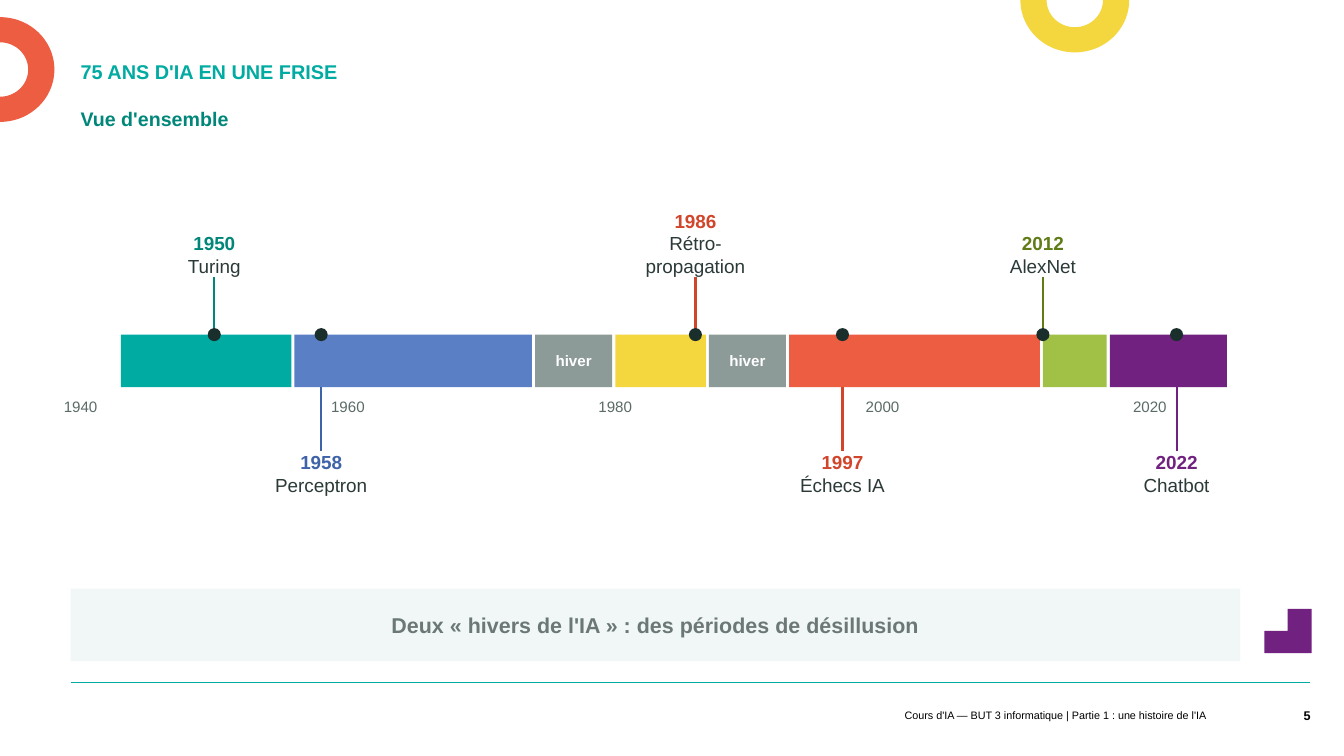
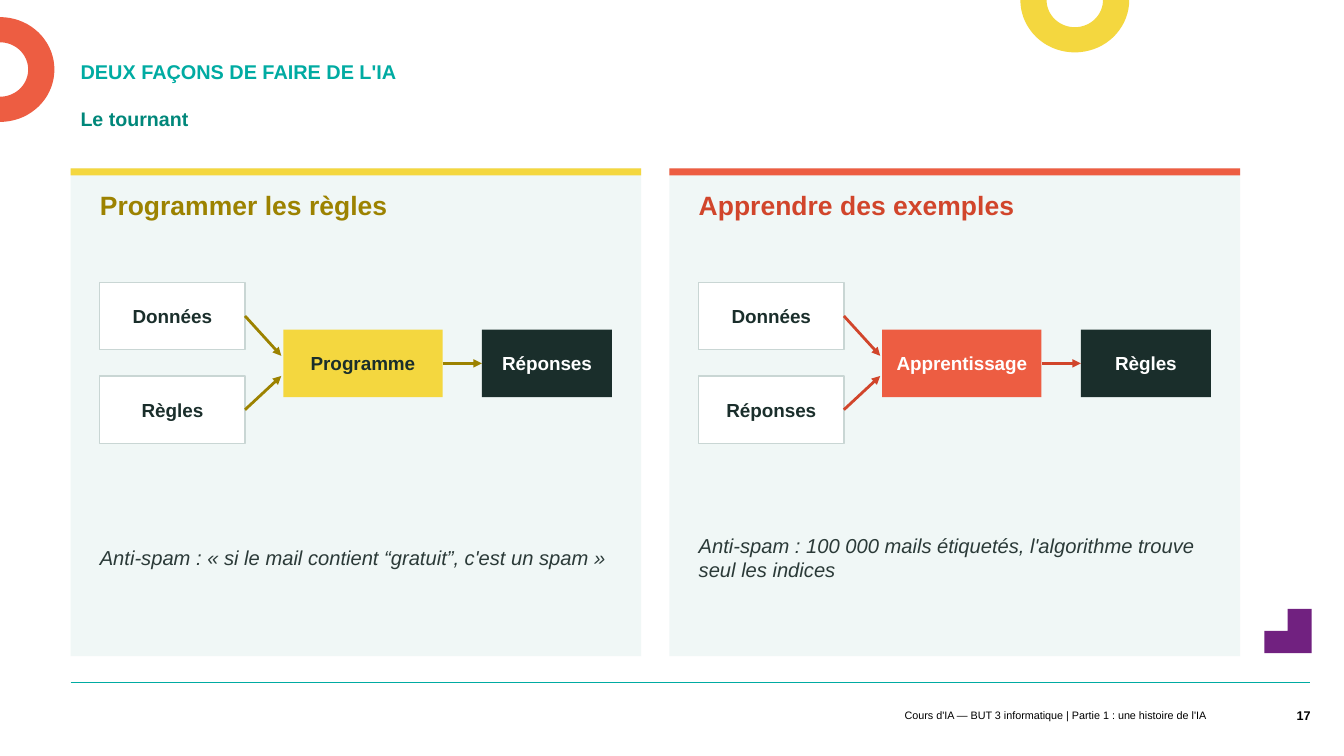
import math

import pptx
import pptx.dml.color
import pptx.enum.shapes
import pptx.enum.text
import pptx.oxml.ns
import pptx.util
from lxml import etree

Inches = pptx.util.Inches
Pt = pptx.util.Pt
RGB = pptx.dml.color.RGBColor.from_string
SHAPE = pptx.enum.shapes.MSO_SHAPE
ALIGN = pptx.enum.text.PP_ALIGN
ANCHOR = pptx.enum.text.MSO_ANCHOR
qn = pptx.oxml.ns.qn

COLORS = {
    "teal": "00ABA2", "dark teal": "00877A", "blue": "5B7FC4", "dark blue": "3F63A8",
    "yellow": "F4D73F", "dark yellow": "9C8200", "red": "ED5D42", "dark red": "D1452B",
    "green": "A0C145", "dark green": "5F7C17", "purple": "712180",
    "winter": "8C9A98", "pale": "F0F7F6", "border": "C9D6D4", "tick": "5A6B68",
    "message": "6B7876", "text": "2B3A38", "ink": "1A2E2B",
    "white": "FFFFFF", "black": "000000",
}


def add_box(page, at, text="", shape=None, kind=SHAPE.RECTANGLE, fill=None, line=None,
            size=13.5, color="ink", bold=False, italic=False, align=ALIGN.CENTER,
            anchor=ANCHOR.MIDDLE, inset=(0, 0), spacing=None):
    """Add a filled shape, or a text box without fill, or format the shape given."""
    left, top, width, height = [Inches(length) for length in at]
    if shape is not None:
        shape.left, shape.top, shape.width, shape.height = left, top, width, height
    elif fill is None:
        shape = page.shapes.add_textbox(left, top, width, height)
    else:
        shape = page.shapes.add_shape(kind, left, top, width, height)
        shape.shadow.inherit = False
        shape.fill.solid()
        shape.fill.fore_color.rgb = RGB(COLORS[fill])
        if line is None:
            shape.line.fill.background()
        else:
            shape.line.color.rgb = RGB(COLORS[line])
            shape.line.width = Pt(1)
    if not text:
        return shape

    frame = shape.text_frame
    frame.word_wrap = True
    frame.auto_size = pptx.enum.text.MSO_AUTO_SIZE.NONE
    frame.vertical_anchor = anchor
    frame.margin_left = frame.margin_right = Inches(inset[0])
    frame.margin_top = frame.margin_bottom = Inches(inset[1])
    frame.text = text
    for para in frame.paragraphs:
        para.alignment = align
        if spacing is not None:
            para.line_spacing = spacing
        for span in para.runs:
            span.font.name = "Arial"
            span.font.size = Pt(size)
            span.font.bold = bold
            span.font.italic = italic
            span.font.color.rgb = RGB(COLORS[color])
    return shape


def add_line(page, start, end, color, weight, arrow=False):
    ends = [Inches(length) for length in (*start, *end)]
    line = page.shapes.add_connector(pptx.enum.shapes.MSO_CONNECTOR.STRAIGHT, *ends)
    line.line.color.rgb = RGB(COLORS[color])
    line.line.width = Pt(weight)
    properties = line.element.spPr
    if arrow:
        etree.SubElement(properties.find(qn("a:ln")), qn("a:tailEnd"), type="triangle")
    etree.SubElement(properties, qn("a:effectLst"))
    return line


deck = pptx.Presentation()
deck.slide_width, deck.slide_height = Inches(13.33), Inches(7.5)
layout = deck.slide_layouts[5]
for placeholder in list(layout.placeholders):
    if placeholder.placeholder_format.idx != 0:
        layout.shapes.element.remove(placeholder.element)

# Titles and footers
pages = []
for title, subtitle, number in [
    ("75 ANS D'IA EN UNE FRISE", "Vue d'ensemble", "5"),
    ("DEUX FAÇONS DE FAIRE DE L'IA", "Le tournant", "17"),
]:
    page = deck.slides.add_slide(layout)
    pages.append(page)
    add_box(page, (0.7, 0.54, 9.72, 0.34), title, shape=page.shapes.title, size=14.2,
            color="teal", bold=True, align=ALIGN.LEFT, anchor=ANCHOR.BOTTOM,
            inset=(0.1, 0.05), spacing=Pt(16.7))
    add_box(page, (0.7, 1.04, 9.72, 0.46), subtitle, size=14, color="dark teal", bold=True,
            align=ALIGN.LEFT, anchor=ANCHOR.TOP, inset=(0.1, 0.05), spacing=0.9)
    add_box(page, (5.43, 6.98, 6.63, 0.23),
            "Cours d'IA — BUT 3 informatique | Partie 1 : une histoire de l'IA",
            size=7.7, color="black", align=ALIGN.RIGHT, inset=(0.1, 0))
    add_box(page, (12.45, 6.9, 0.55, 0.4), number, size=9, color="black", bold=True,
            align=ALIGN.RIGHT)
timeline, comparison = pages

# Decoration, drawn once and moved to the shared layout
outlines = [("purple", [(12.77, 6.04), (13.01, 6.04), (13.01, 6.48),
                        (12.54, 6.48), (12.54, 6.26), (12.77, 6.26)])]
for color, center_x, center_y, first_angle in [("yellow", 10.66, 0, 0), ("red", 0, 0.69, -90)]:
    angles = [math.radians(first_angle + step) for step in range(0, 181, 5)]
    outer = [(center_x + 0.54 * math.cos(a), center_y + 0.52 * math.sin(a)) for a in angles]
    inner = [(center_x + 0.28 * math.cos(a), center_y + 0.27 * math.sin(a)) for a in angles]
    outlines.append((color, outer + inner[::-1]))

decoration = [add_line(timeline, (0.7, 6.77), (12.99, 6.77), "teal", 0.5)]
for color, points in outlines:
    corners = [(Inches(x), Inches(y)) for x, y in points]
    builder = timeline.shapes.build_freeform(*corners[0])
    builder.add_line_segments(corners[1:], close=True)
    outline = builder.convert_to_shape()
    outline.shadow.inherit = False
    outline.fill.solid()
    outline.fill.fore_color.rgb = RGB(COLORS[color])
    outline.line.fill.background()
    decoration.append(outline)
for shape in decoration:
    layout.shapes.element.append(shape.element)

# Timeline: the axis runs from 1940 to 2026
AXIS_LEFT, AXIS_RIGHT = 0.8, 12.2
PER_YEAR = (AXIS_RIGHT - AXIS_LEFT) / (2026 - 1940)
BAR_TOP, BAR_HEIGHT, BAR_GAP = 3.32, 0.52, 0.03
periods = [
    (1943, 1956, "teal", ""),
    (1956, 1974, "blue", ""),
    (1974, 1980, "winter", "hiver"),
    (1980, 1987, "yellow", ""),
    (1987, 1993, "winter", "hiver"),
    (1993, 2012, "red", ""),
    (2012, 2017, "green", ""),
    (2017, 2026, "purple", ""),
]
for first, last, color, name in periods:
    left = AXIS_LEFT + (first - 1940) * PER_YEAR
    width = (last - first) * PER_YEAR - BAR_GAP
    add_box(timeline, (left, BAR_TOP, width, BAR_HEIGHT), name, fill=color,
            size=10.8, color="white", bold=True)

for year in range(1940, 2021, 20):
    x = AXIS_LEFT + (year - 1940) * PER_YEAR
    add_box(timeline, (x - 0.385, 3.94, 0.77, 0.31), str(year), size=10.8, color="tick",
            anchor=ANCHOR.TOP)

LABEL_WIDTH, LABEL_HEIGHT, DOT = 1.53, 1.08, 0.13
events = [
    (1950, "Turing", "dark teal", True),
    (1958, "Perceptron", "dark blue", False),
    (1986, "Rétro-\npropagation", "dark red", True),
    (1997, "Échecs IA", "dark red", False),
    (2012, "AlexNet", "dark green", True),
    (2022, "Chatbot", "purple", False),
]
for year, name, color, above in events:
    x = AXIS_LEFT + (year - 1940) * PER_YEAR
    label_top = 1.67 if above else 4.47
    label = add_box(timeline, (x - LABEL_WIDTH / 2, label_top, LABEL_WIDTH, LABEL_HEIGHT),
                    f"{year}\n{name}", color="text",
                    anchor=ANCHOR.BOTTOM if above else ANCHOR.TOP)
    heading = label.text_frame.paragraphs[0].runs[0].font
    heading.bold = True
    heading.color.rgb = RGB(COLORS[color])
    if above:
        stem = add_line(timeline, (x, label_top + LABEL_HEIGHT), (x, BAR_TOP), color, 1.5)
        stem.begin_connect(label, 2)
    else:
        stem = add_line(timeline, (x, BAR_TOP + BAR_HEIGHT), (x, label_top), color, 1.5)
        stem.end_connect(label, 0)
    add_box(timeline, (x - DOT / 2, BAR_TOP - DOT / 2, DOT, DOT), kind=SHAPE.OVAL, fill="ink")

add_box(timeline, (0.7, 5.84, 11.6, 0.72),
        "Deux « hivers de l'IA » : des périodes de désillusion",
        fill="pale", size=15.3, color="message", bold=True)

# Comparison: two panels with the same flow
PANEL_WIDTH, PANEL_GAP, PADDING, BOX_HEIGHT = 5.66, 0.28, 0.29, 0.67
panels = [
    ("Programmer les règles", "yellow", "dark yellow", "ink",
     ("Données", "Règles"), "Programme", "Réponses",
     "Anti-spam : « si le mail contient “gratuit”, c'est un spam »"),
    ("Apprendre des exemples", "red", "dark red", "white",
     ("Données", "Réponses"), "Apprentissage", "Règles",
     "Anti-spam : 100 000 mails étiquetés, l'algorithme trouve seul les indices"),
]
for column, (heading, accent, dark, core_color, inputs, core, output, example) in enumerate(panels):
    left = 0.7 + column * (PANEL_WIDTH + PANEL_GAP)
    inner_left, inner_width = left + PADDING, PANEL_WIDTH - 2 * PADDING
    add_box(comparison, (left, 1.67, PANEL_WIDTH, 4.84), fill="pale")
    add_box(comparison, (left, 1.67, PANEL_WIDTH, 0.07), fill=accent)
    add_box(comparison, (inner_left, 1.88, inner_width, 0.57), heading, size=18.9, color=dark,
            bold=True, align=ALIGN.LEFT, anchor=ANCHOR.TOP)

    core_left = left + 2.11
    core_box = add_box(comparison, (core_left, 3.27, 1.58, BOX_HEIGHT), core, fill=accent,
                       color=core_color, bold=True)
    output_box = add_box(comparison, (left + 4.08, 3.27, 1.29, BOX_HEIGHT), output, fill="ink",
                         color="white", bold=True)
    for name, top, arrow_end in zip(inputs, (2.8, 3.73), (3.53, 3.73)):
        input_box = add_box(comparison, (inner_left, top, 1.44, BOX_HEIGHT), name, fill="white",
                            line="border", bold=True)
        arrow = add_line(comparison, (inner_left + 1.44, top + BOX_HEIGHT / 2),
                         (core_left - 0.02, arrow_end), dark, 2, arrow=True)
        arrow.begin_connect(input_box, 3)
    arrow = add_line(comparison, (core_left + 1.58, 3.6), (left + 4.08, 3.6), dark, 2, arrow=True)
    arrow.begin_connect(core_box, 3)
    arrow.end_connect(output_box, 1)

    add_box(comparison, (inner_left, 4.76, inner_width, 1.54), example, size=14.4, color="text",
            italic=True, align=ALIGN.LEFT)

deck.save("out.pptx")
